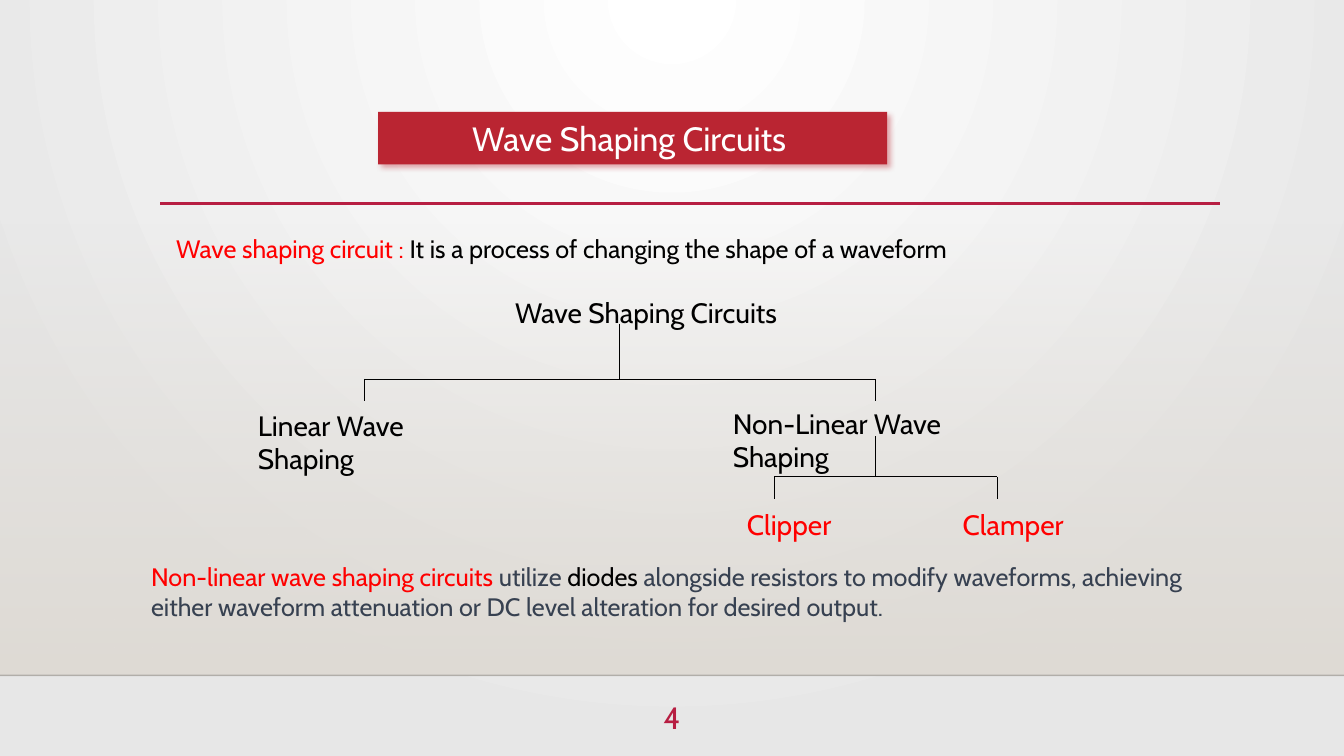
from dataclasses import dataclass

from lxml.etree import SubElement
from pptx import Presentation
from pptx.dml.color import RGBColor
from pptx.enum.shapes import MSO_CONNECTOR, MSO_SHAPE
from pptx.enum.text import MSO_ANCHOR, MSO_AUTO_SIZE, PP_ALIGN
from pptx.oxml.ns import qn
from pptx.slide import Slide
from pptx.text.text import TextFrame
from pptx.util import Emu, Pt

EMU_PER_PX = 9144
PAGE_WIDTH, PAGE_HEIGHT = 1333, 750
FONT = "Cabin"
COLORS = {
    "white": "FFFFFF",
    "mist": "E7E7E7",
    "sand": "DFDBD5",
    "crimson": "B71E42",
    "banner": "BA2532",
    "red": "FF0000",
    "slate": "374151",
    "black": "000000",
}


@dataclass(frozen=True)
class Span:
    text: str
    color: str


@dataclass(frozen=True)
class Label:
    left: int
    top: int
    width: int
    height: int
    spans: tuple[Span, ...]
    size: int = 20
    align: PP_ALIGN = PP_ALIGN.LEFT


@dataclass(frozen=True)
class Branch:
    stem: int
    top: int
    bar: int
    bottom: int
    children: tuple[int, ...]


LABELS = (
    Label(622, 688, 89, 55, (Span("4", "crimson"),), 22, PP_ALIGN.CENTER),
    Label(501, 288, 281, 44, (Span("Wave Shaping Circuits", "black"),)),
    Label(246, 400, 253, 40, (Span("Linear Wave Shaping", "black"),)),
    Label(717, 398, 319, 44, (Span("Non-Linear Wave Shaping", "black"),)),
    Label(731, 499, 114, 44, (Span("Clipper", "red"),)),
    Label(945, 499, 122, 44, (Span("Clamper", "red"),)),
    Label(165, 227, 1050, 71, (
        Span("Wave shaping circuit : ", "red"),
        Span("It is a process of changing the shape of a waveform", "black"),
    ), 18),
    Label(140, 552, 1081, 71, (
        Span("Non-linear wave shaping circuits ", "red"),
        Span("utilize ", "slate"),
        Span("diodes", "black"),
        Span(" alongside resistors to modify waveforms, achieving either waveform "
             "attenuation or DC level alteration for desired output.", "slate"),
    ), 18),
)
BRANCHES = (
    Branch(614, 321, 376, 398, (361, 868)),
    Branch(868, 433, 473, 495, (768, 989)),
)


def px(length: int) -> Emu:
    return Emu(length * EMU_PER_PX)


def rgb(color: str) -> RGBColor:
    return RGBColor.from_string(COLORS[color])


def set_alpha(color_element, percent: int) -> None:
    SubElement(color_element, qn("a:alpha"), val=str(percent * 1000))


def write_spans(frame: TextFrame, spans: tuple[Span, ...], size: int, align: PP_ALIGN) -> None:
    frame.word_wrap = True
    frame.auto_size = MSO_AUTO_SIZE.NONE
    para = frame.paragraphs[0]
    para.alignment = align
    for span in spans:
        run = para.add_run()
        run.text = span.text
        run.font.name = FONT
        run.font.size = Pt(size)
        run.font.color.rgb = rgb(span.color)


def add_label(page: Slide, label: Label) -> None:
    box = page.shapes.add_textbox(
        px(label.left), px(label.top), px(label.width), px(label.height))
    write_spans(box.text_frame, label.spans, label.size, label.align)


def add_line(page: Slide, start: tuple[int, int], end: tuple[int, int],
             color: str = "black", width: float = 0.5):
    line = page.shapes.add_connector(
        MSO_CONNECTOR.STRAIGHT, px(start[0]), px(start[1]), px(end[0]), px(end[1]))
    line.line.color.rgb = rgb(color)
    line.line.width = Pt(width)
    SubElement(line._element.spPr, qn("a:effectLst"))
    return line


def add_branch(page: Slide, branch: Branch) -> None:
    add_line(page, (branch.stem, branch.top), (branch.stem, branch.bar))
    for child in branch.children:
        add_line(page, (branch.stem, branch.bar), (child, branch.bar))
        add_line(page, (child, branch.bar), (child, branch.bottom))


def set_stops(fill, colors: tuple[str, str]) -> None:
    fill.gradient()
    for stop, color, position in zip(fill.gradient_stops, colors, (0, 1)):
        stop.color.rgb = rgb(color)
        stop.position = position


def paint_background(page: Slide) -> None:
    set_stops(page.background.fill, ("white", "mist"))
    gradient = next(page._element.iter(qn("a:gradFill")))
    gradient.remove(gradient.find(qn("a:lin")))
    circle = SubElement(gradient, qn("a:path"), path="circle")
    SubElement(circle, qn("a:fillToRect"), l="43000", t="0", r="43000", b="100000")


def add_floor(page: Slide) -> None:
    floor = page.shapes.add_shape(
        MSO_SHAPE.RECTANGLE, 0, px(221), px(PAGE_WIDTH), px(449))
    floor.shadow.inherit = False
    floor.line.fill.background()
    set_stops(floor.fill, ("sand", "sand"))
    floor.fill.gradient_angle = 270
    set_alpha(next(floor._element.spPr.iter(qn("a:srgbClr"))), 0)
    edge = add_line(page, (0, 670), (PAGE_WIDTH, 670), "black", 1)
    set_alpha(next(edge._element.spPr.iter(qn("a:srgbClr"))), 20)


def format_title(page: Slide) -> None:
    title = page.shapes.title
    title.left, title.top = px(375), px(111)
    title.width, title.height = px(505), px(52)
    properties = title._element.spPr
    geometry = SubElement(properties, qn("a:prstGeom"), prst="roundRect")
    SubElement(geometry, qn("a:avLst"))
    title.fill.solid()
    title.fill.fore_color.rgb = rgb("banner")
    title.line.fill.background()
    effects = SubElement(properties, qn("a:effectLst"))
    shadow = SubElement(effects, qn("a:outerShdw"), blurRad=str(Pt(4)), dist=str(Pt(3)),
                        dir="2700000", algn="tl", rotWithShape="0")
    set_alpha(SubElement(shadow, qn("a:srgbClr"), val=COLORS["banner"]), 40)
    frame = title.text_frame
    frame.vertical_anchor = MSO_ANCHOR.MIDDLE
    frame.margin_right = px(17)
    write_spans(frame, (Span("Wave Shaping Circuits", "white"),), 24, PP_ALIGN.CENTER)


def main() -> None:
    deck = Presentation()
    deck.slide_width, deck.slide_height = px(PAGE_WIDTH), px(PAGE_HEIGHT)
    page = deck.slides.add_slide(deck.slide_layouts.get_by_name("Title Only"))
    paint_background(page)
    add_floor(page)
    add_line(page, (159, 202), (1210, 202), "crimson", 2.5)
    format_title(page)
    for label in LABELS:
        add_label(page, label)
    for branch in BRANCHES:
        add_branch(page, branch)
    deck.save("out.pptx")


if __name__ == "__main__":
    main()
